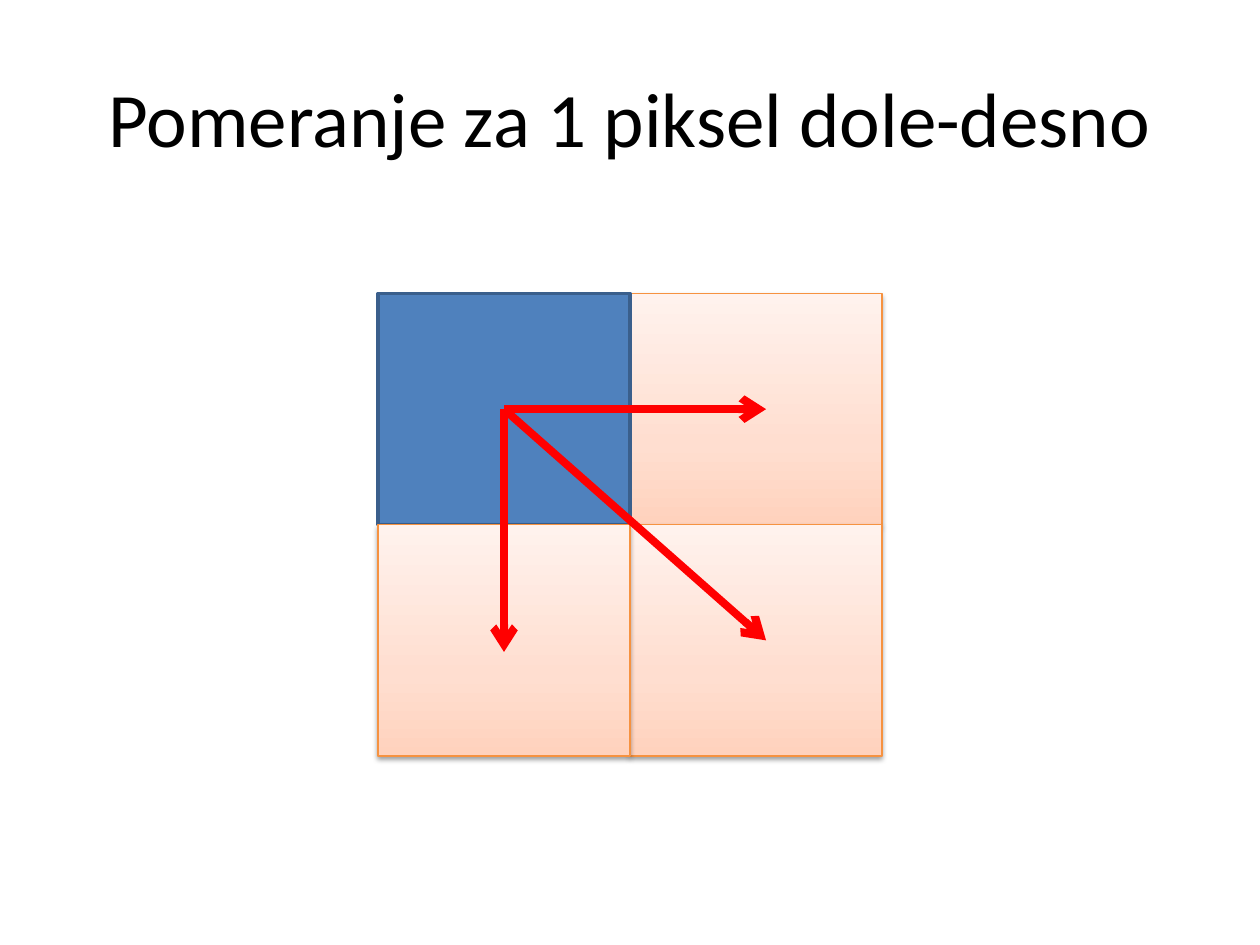
from copy import deepcopy
from pptx import Presentation
from pptx.dml.color import RGBColor as RGB
from pptx.enum.shapes import MSO_CONNECTOR as Link, MSO_SHAPE as Shape
from pptx.enum.text import MSO_ANCHOR as Anchor, PP_ALIGN as Align
from pptx.oxml import parse_xml
from pptx.oxml.ns import nsdecls, qn
from pptx.util import Inches, Pt


def color(code):
    return RGB.from_string(code)


class Board:
    """Style and current slide; places are columns and rows of the pixel grid."""
    font = "Calibri"
    left, top = 3, 2.33
    wide, high = 2, 1.835
    shades = [(0, "FFD2BD"), (0.35, "FFDED0"), (1, "FFF2ED")]

    def __init__(self, deck):
        self.slide = deck.slides.add_slide(deck.slide_layouts[5])

    def spot(self, col, row):
        return (Inches(self.left + col * self.wide),
                Inches(self.top + row * self.high))

    def title(self, text):
        box = self.slide.shapes.title
        box.left, box.top = Inches(0.5), Inches(0.3)
        box.width, box.height = Inches(9), Inches(1.25)
        frame = box.text_frame
        frame.text = text
        frame.vertical_anchor = Anchor.MIDDLE
        para = frame.paragraphs[0]
        para.alignment = Align.CENTER
        font = para.runs[0].font
        font.name, font.size = self.font, Pt(44)
        font.color.rgb = color("000000")

    def cell(self, col, row, line, weight):
        box = self.slide.shapes.add_shape(
            Shape.RECTANGLE, *self.spot(col, row),
            Inches(self.wide), Inches(self.high))
        box.shadow.inherit = False
        box.line.color.rgb = color(line)
        box.line.width = Pt(weight)
        return box

    def source(self, col, row):
        box = self.cell(col, row, "3A5F8C", 2)
        box.fill.solid()
        box.fill.fore_color.rgb = color("4F81BD")

    def target(self, col, row):
        box = self.cell(col, row, "F69240", 0.75)
        # Three-stop gradient, running upwards
        fill = box.fill
        fill.gradient()
        fill.gradient_angle = 90
        stops = next(box._element.spPr.iter(qn("a:gsLst")))
        stops.insert(1, deepcopy(stops[0]))
        for stop, (place, code) in zip(fill.gradient_stops, self.shades):
            stop.position = place
            stop.color.rgb = color(code)
        # Soft shadow below
        box._element.spPr.find(qn("a:effectLst")).append(parse_xml(
            f'<a:outerShdw {nsdecls("a")} blurRad="{Pt(3.1)}" dist="{Pt(1.6)}"'
            ' dir="5400000" rotWithShape="0"><a:srgbClr val="000000">'
            '<a:alpha val="38000"/></a:srgbClr></a:outerShdw>'))

    def arrow(self, start, end):
        link = self.slide.shapes.add_connector(
            Link.STRAIGHT, *self.spot(*start), *self.spot(*end))
        link.line.color.rgb = color("FF0000")
        link.line.width = Pt(4.5)
        link.line._get_or_add_ln().append(
            parse_xml(f'<a:tailEnd {nsdecls("a")} type="arrow"/>'))
        link._element.spPr.append(
            parse_xml(f'<a:effectLst {nsdecls("a")}/>'))


def main():
    deck = Presentation()
    deck.slide_width, deck.slide_height = Inches(10), Inches(7.5)
    board = Board(deck)
    board.title("Pomeranje za 1 piksel dole-desno")

    # Pixels
    board.target(1, 0)
    board.source(0, 0)
    board.target(1, 1)
    board.target(0, 1)

    # Moves from the source pixel to its neighbours
    for end in [(1.54, 0.5), (0.5, 1.55), (1.54, 1.5)]:
        board.arrow((0.5, 0.5), end)

    deck.save("out.pptx")


if __name__ == "__main__":
    main()
